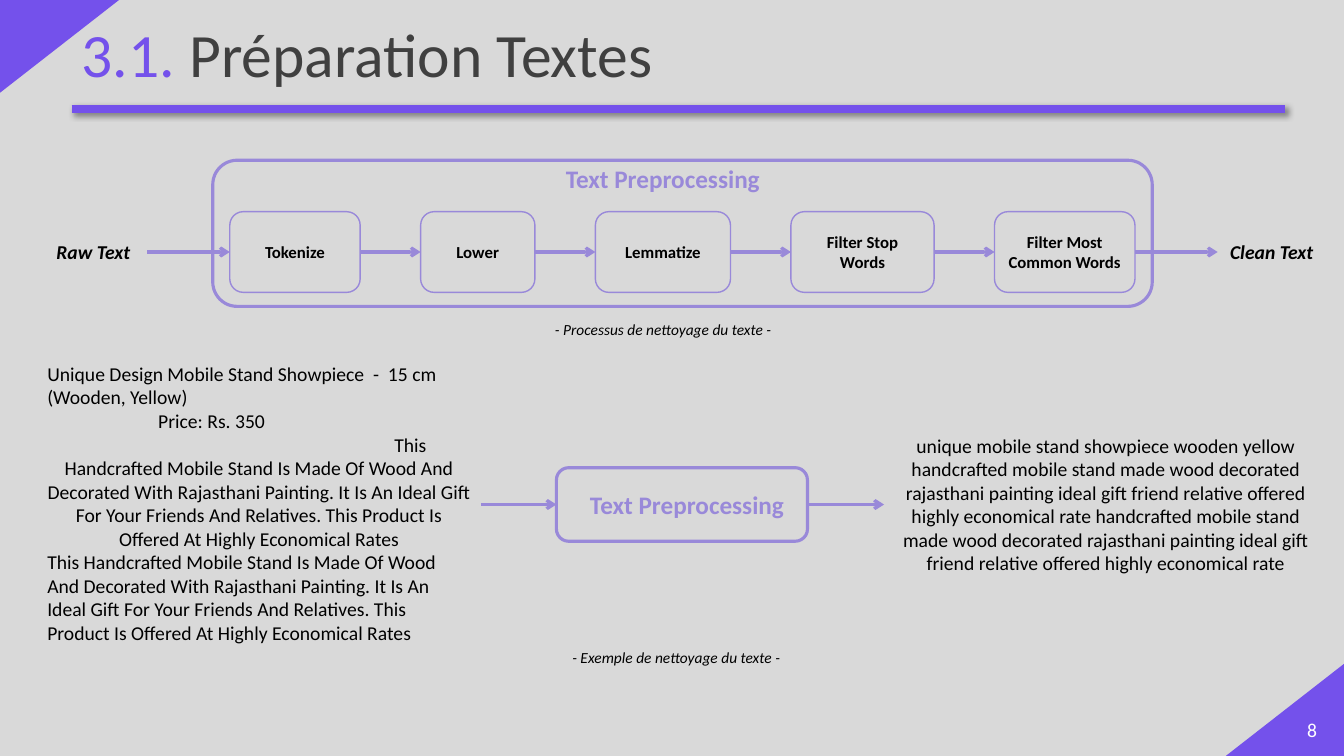
from typing import NamedTuple

from lxml.etree import SubElement
from pptx import Presentation
from pptx.dml.color import RGBColor
from pptx.enum.shapes import MSO_CONNECTOR as Line, MSO_SHAPE as Preset
from pptx.enum.text import MSO_ANCHOR as Anchor, MSO_AUTO_SIZE as AutoSize, PP_ALIGN as Align
from pptx.oxml.ns import qn
from pptx.util import Emu, Inches, Pt

COLORS = {"violet": "7451EB", "lilac": "9989D9", "dark": "404040",
          "black": "000000", "white": "FFFFFF", "page": "D9D9D9"}
FONT = "Calibri"

deck = Presentation()
deck.slide_width, deck.slide_height = Inches(13.33), Inches(7.5)
page = deck.slides.add_slide(deck.slide_layouts[5])
shapes = page.shapes


class Area(NamedTuple):
    """Place and size in percent of the slide's width and height."""
    left: float
    top: float
    width: float
    height: float


class Para(NamedTuple):
    text: str
    align: Align = Align.CENTER
    indent: float = 0
    tab: float = 0


class Step(NamedTuple):
    name: str
    width: float


def across(share: float) -> Emu:
    return Emu(round(deck.slide_width * share / 100))


def down(share: float) -> Emu:
    return Emu(round(deck.slide_height * share / 100))


def place(area: Area) -> tuple:
    return across(area.left), down(area.top), across(area.width), down(area.height)


def rgb(name: str) -> RGBColor:
    return RGBColor.from_string(COLORS[name])


def add_span(para, text: str, size: float = 14, color: str = "black",
             bold: bool = False, italic: bool = False) -> None:
    span = para.add_run()
    span.text = text
    font = span.font
    font.name, font.size, font.bold, font.italic = FONT, Pt(size), bold, italic
    font.color.rgb = rgb(color)


def write(box, *paras: Para, anchor=Anchor.TOP, **style):
    frame = box.text_frame
    frame.word_wrap = True
    frame.vertical_anchor = anchor
    for index, item in enumerate(paras):
        para = frame.add_paragraph() if index else frame.paragraphs[0]
        para.alignment = item.align
        properties = para._p.get_or_add_pPr()
        if item.indent:
            properties.set("marL", str(Inches(item.indent)))
        if item.tab:
            stops = SubElement(properties, qn("a:tabLst"))
            SubElement(stops, qn("a:tab"), pos=str(Inches(item.tab)), algn="l")
        add_span(para, item.text, **style)
    return box


def add_text(area: Area, *paras: Para, **style):
    return write(shapes.add_textbox(*place(area)), *paras, **style)


def add_outline(area: Area, weight: float):
    box = shapes.add_shape(Preset.ROUNDED_RECTANGLE, *place(area))
    box.shadow.inherit = False
    box.fill.background()
    box.line.color.rgb = rgb("lilac")
    box.line.width = Pt(weight)
    return box


def add_corner(left: float, top: float, turn: int) -> None:
    corner = shapes.add_shape(Preset.RIGHT_TRIANGLE, *place(Area(left, top, 6.9, 15.73)))
    corner.rotation = turn
    corner.shadow.inherit = False
    corner.fill.solid()
    corner.fill.fore_color.rgb = rgb("violet")
    corner.line.fill.background()


def add_line(start: tuple, end: tuple, color: str, weight: float):
    """Draw a straight line; return it with its empty effect list."""
    line = shapes.add_connector(Line.STRAIGHT, *start, *end)
    line.line.color.rgb = rgb(color)
    line.line.width = Pt(weight)
    return line, SubElement(line._element.spPr, qn("a:effectLst"))


def add_arrow(source, target) -> None:
    """Join the right side of one box to the left side of the next."""
    arrow, _ = add_line((0, 0), (0, 0), "lilac", 2.25)
    arrow.begin_connect(source, 3)
    arrow.end_connect(target, 1)
    SubElement(arrow.line._get_or_add_ln(), qn("a:tailEnd"), type="arrow")


def add_chain(boxes: list) -> None:
    for source, target in zip(boxes, boxes[1:]):
        add_arrow(source, target)


def add_header() -> None:
    add_corner(0.98, -1.73, 90)
    add_corner(92.18, 86, 270)
    _, effects = add_line((across(5.33), down(14.4)), (across(95.63), down(14.4)), "violet", 6)
    shadow = SubElement(effects, qn("a:outerShdw"), blurRad=str(Pt(4)), dist=str(Pt(3)),
                        dir="2700000", algn="tl", rotWithShape="0")
    shade = SubElement(shadow, qn("a:srgbClr"), val=COLORS["black"])
    SubElement(shade, qn("a:alpha"), val="40000")

    title = shapes.title
    title.left, title.top, title.width, title.height = place(Area(5.33, -2, 92.7, 19.33))
    frame = title.text_frame
    frame.auto_size = AutoSize.NONE
    frame.vertical_anchor = Anchor.MIDDLE
    para = frame.paragraphs[0]
    para.alignment = Align.LEFT
    para.line_spacing = 0.9
    add_span(para, "3.1.", size=44, color="violet")
    add_span(para, " Préparation Textes", size=44, color="dark")
    add_text(Area(95.63, 93.87, 3.98, 5.33), Para("8"), anchor=Anchor.MIDDLE, color="white")


def add_heading(left: float, top: float) -> None:
    add_text(Area(left, top, 17.18, 5.33), Para("Text Preprocessing"),
             size=18, color="lilac", bold=True)


def add_caption(left: float, top: float, text: str) -> None:
    add_text(Area(left, top, 28.35, 3.87), Para(text), size=11, italic=True)


def add_end(left: float, text: str):
    return add_text(Area(left, 31.07, 8.03, 4.53), Para(text), bold=True, italic=True)


STEPS = [Step("Tokenize", 9.7), Step("Lower", 8.5), Step("Lemmatize", 10.05),
         Step("Filter Stop Words", 10.65), Step("Filter Most Common Words", 10.45)]
STEP_GAP = 4.5


def add_process() -> None:
    add_outline(Area(15.83, 21.2, 69.9, 19.33), 2.25)
    add_heading(40.73, 20.93)
    chain = [add_end(2.93, "Raw Text")]
    left = 17.1
    for step in STEPS:
        box = add_outline(Area(left, 28, step.width, 10.67), 1)
        box.text_frame.margin_left = box.text_frame.margin_right = Inches(0.09)
        chain.append(write(box, Para(step.name), anchor=Anchor.MIDDLE, size=12, bold=True))
        left += step.width + STEP_GAP
    chain.append(add_end(90.6, "Clean Text"))
    add_chain(chain)
    add_caption(35.18, 41.73, "- Processus de nettoyage du texte -")


DESCRIPTION = ("This Handcrafted Mobile Stand Is Made Of Wood And Decorated With Rajasthani "
               "Painting. It Is An Ideal Gift For Your Friends And Relatives. This Product "
               "Is Offered At Highly Economical Rates")
CLEANED = ("unique mobile stand showpiece wooden yellow handcrafted mobile stand made wood "
           "decorated rajasthani painting ideal gift friend relative offered highly economical "
           "rate handcrafted mobile stand made wood decorated rajasthani painting ideal gift "
           "friend relative offered highly economical rate")


def add_example() -> None:
    raw = add_text(
        Area(2.78, 47.2, 33, 39.07),
        Para("Unique Design Mobile Stand Showpiece  -  15 cm (Wooden, Yellow)", Align.LEFT),
        Para("Price: Rs. 350", Align.LEFT, indent=1.1),
        Para("\t" + DESCRIPTION, tab=3),
        Para(DESCRIPTION, Align.LEFT))
    stage = add_outline(Area(41.4, 61.87, 18.68, 9.73), 2.25)
    clean = add_text(Area(65.78, 56.67, 33, 20.13), Para(CLEANED))
    add_chain([raw, stage, clean])
    add_heading(42.53, 64)
    add_caption(36.15, 85.07, "- Exemple de nettoyage du texte -")


def main() -> None:
    page.background.fill.solid()
    page.background.fill.fore_color.rgb = rgb("page")
    add_header()
    add_process()
    add_example()
    deck.save("out.pptx")


if __name__ == "__main__":
    main()
